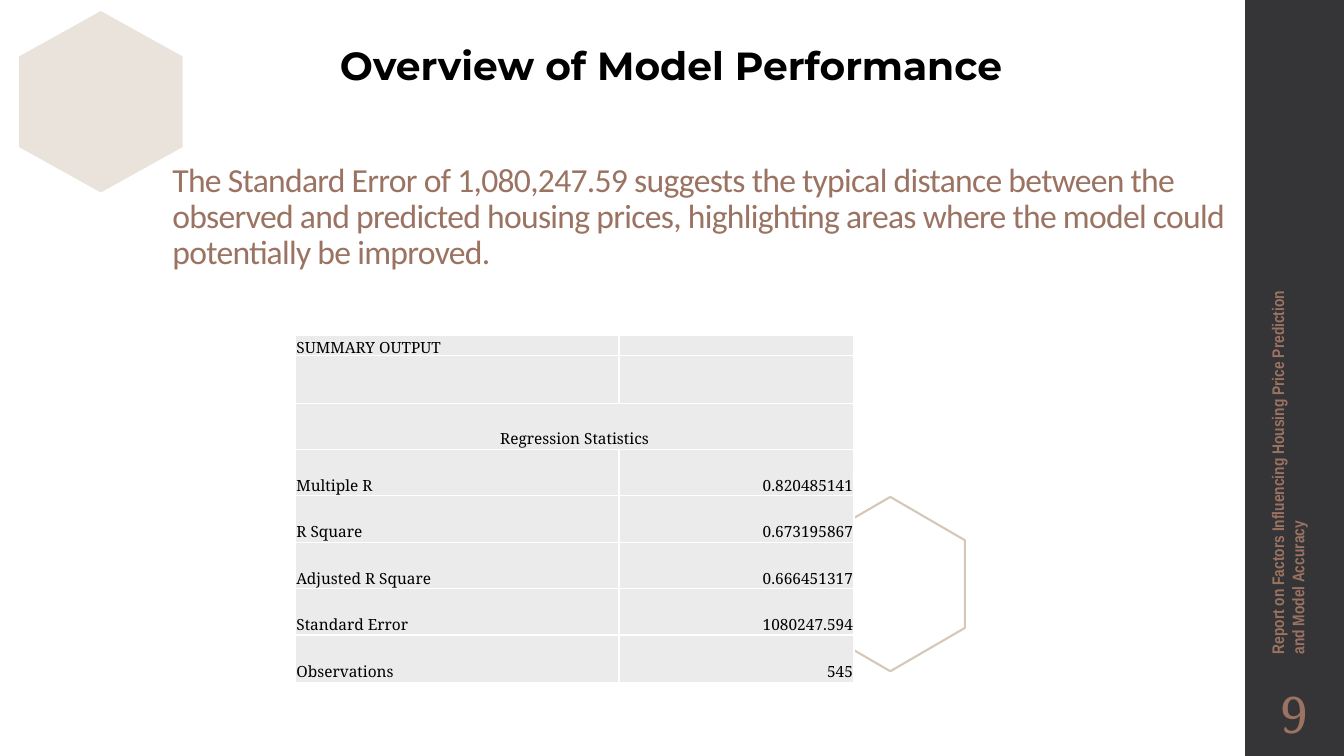
from dataclasses import dataclass

import lxml.etree
import pptx
import pptx.dml.color
import pptx.enum.shapes
import pptx.enum.text
import pptx.oxml.ns
import pptx.util

PX = 9144  # EMU in one px, 100 px to the inch
ALIGN = pptx.enum.text.PP_ALIGN
ANCHOR = pptx.enum.text.MSO_ANCHOR
qn = pptx.oxml.ns.qn


@dataclass(frozen=True)
class Theme:
    sidebar: str = "353537"
    accent: str = "9B7362"
    sand: str = "D5C8B8"
    cell: str = "EBEBEB"
    white: str = "FFFFFF"
    black: str = "000000"
    heading_font: str = "Montserrat"
    body_font: str = "Calibri"
    report_font: str = "Arial Narrow"
    serif_font: str = "Noto Serif"
    heading_size: int = 28
    body_size: int = 24
    report_size: int = 12
    number_size: int = 36
    table_size: int = 11


THEME = Theme()
COLUMNS = [321, 233]
ROW_HEIGHTS = [20, 47] + [46] * 5 + [47]
ROWS = [
    ("SUMMARY OUTPUT", ""),
    ("", ""),
    ("Regression Statistics", ""),
    ("Multiple R", "0.820485141"),
    ("R Square", "0.673195867"),
    ("Adjusted R Square", "0.666451317"),
    ("Standard Error", "1080247.594"),
    ("Observations", "545"),
]
SPANNED_ROW = 2


def px(*lengths):
    return [pptx.util.Emu(n * PX) for n in lengths]


def rgb(color):
    return pptx.dml.color.RGBColor.from_string(color)


def add_run(p, text, font, size, color, bold=False):
    r = p.add_run()
    r.text = text
    r.font.name = font
    r.font.size = pptx.util.Pt(size)
    r.font.color.rgb = rgb(color)
    r.font.bold = bold
    return r


def paint(sp, fill=None, line=None, alpha=None):
    """Give a shape a plain fill (alpha in percent) or outline, without shadow."""
    sp.shadow.inherit = False
    if fill:
        sp.fill.solid()
        sp.fill.fore_color.rgb = rgb(fill)
        if alpha:
            clr = sp.fill._xPr.find(".//" + qn("a:srgbClr"))
            lxml.etree.SubElement(clr, qn("a:alpha")).set("val", str(alpha * 1000))
    else:
        sp.fill.background()
    if line:
        sp.line.color.rgb = rgb(line)
        sp.line.width = pptx.util.Pt(1.5)
    else:
        sp.line.fill.background()


def add_sidebar(s):
    sp = s.shapes.add_shape(pptx.enum.shapes.MSO_SHAPE.RECTANGLE, *px(1235, 0, 98, 750))
    paint(sp, fill=THEME.sidebar)


def add_hexagon(s, x, y, w, h, **style):
    """Add a hexagon that stands on a corner."""
    mid, right = x + w / 2, x + w
    upper, lower = y + h / 4, y + h * 3 / 4
    fb = s.shapes.build_freeform(mid, y, scale=PX)
    fb.add_line_segments([(right, upper), (right, lower), (mid, y + h),
                          (x, lower), (x, upper)], close=True)
    paint(fb.convert_to_shape(), **style)


def add_text(s, box, text, font, size, color, bold=False,
             align=ALIGN.LEFT, anchor=ANCHOR.MIDDLE):
    sp = s.shapes.add_textbox(*px(*box))
    tf = sp.text_frame
    tf.word_wrap = True
    tf.vertical_anchor = anchor
    p = tf.paragraphs[0]
    p.alignment = align
    add_run(p, text, font, size, color, bold)
    return sp


def fill_title(s, box, text):
    sp = s.shapes.title
    sp.left, sp.top, sp.width, sp.height = px(*box)
    tf = sp.text_frame
    tf.word_wrap = True
    tf.auto_size = pptx.enum.text.MSO_AUTO_SIZE.NONE
    tf.vertical_anchor = ANCHOR.TOP
    p = tf.paragraphs[0]
    p.alignment = ALIGN.LEFT
    p.line_spacing = 0.9
    r = add_run(p, text, THEME.body_font, THEME.body_size, THEME.accent)
    r.font._element.set("spc", "-50")


def add_borders(cell):
    tcPr = cell._tc.get_or_add_tcPr()
    for side in ("a:lnL", "a:lnR", "a:lnT", "a:lnB"):
        ln = lxml.etree.SubElement(tcPr, qn(side))
        ln.set("w", str(pptx.util.Pt(1)))
        fill = lxml.etree.SubElement(ln, qn("a:solidFill"))
        lxml.etree.SubElement(fill, qn("a:srgbClr")).set("val", THEME.white)


def fill_cell(cell, text, align):
    add_borders(cell)
    cell.fill.solid()
    cell.fill.fore_color.rgb = rgb(THEME.cell)
    cell.vertical_anchor = ANCHOR.BOTTOM
    cell.margin_left, cell.margin_right, cell.margin_top, cell.margin_bottom = px(1, 1, 1, 0)
    p = cell.text_frame.paragraphs[0]
    p.alignment = align
    if text:
        add_run(p, text, THEME.serif_font, THEME.table_size, THEME.black)
    else:  # keeps an empty cell from stretching its row
        end = lxml.etree.SubElement(p._p, qn("a:endParaRPr"))
        end.set("sz", str(THEME.table_size * 100))


def add_statistics(s, x, y):
    frame = s.shapes.add_table(len(ROWS), len(COLUMNS),
                               *px(x, y, sum(COLUMNS), sum(ROW_HEIGHTS)))
    table = frame.table
    table.first_row = table.horz_banding = False
    for column, width in zip(table.columns, px(*COLUMNS)):
        column.width = width
    for row, height in zip(table.rows, px(*ROW_HEIGHTS)):
        row.height = height
    for i, texts in enumerate(ROWS):
        for j, text in enumerate(texts):
            align = ALIGN.RIGHT if j else ALIGN.LEFT
            fill_cell(table.cell(i, j), text, ALIGN.CENTER if i == SPANNED_ROW else align)
    table.cell(SPANNED_ROW, 0).merge(table.cell(SPANNED_ROW, 1))


def main():
    prs = pptx.Presentation()
    prs.slide_width, prs.slide_height = px(1333, 750)
    s = prs.slides.add_slide(prs.slide_layouts[5])
    add_sidebar(s)
    add_hexagon(s, 809, 493, 148, 173, line=THEME.sand)
    fill_title(s, (161, 157, 1074, 219),
               "The Standard Error of 1,080,247.59 suggests the typical distance between "
               "the observed and predicted housing prices, highlighting areas where the "
               "model could potentially be improved.")
    report = add_text(s, (1081, 443, 392, 40),
                      "Report on Factors Influencing Housing Price Prediction and Model Accuracy",
                      THEME.report_font, THEME.report_size, THEME.accent, bold=True)
    report.rotation = 270
    add_text(s, (1235, 675, 98, 65), "9", THEME.serif_font, THEME.number_size,
             THEME.accent, align=ALIGN.CENTER)
    add_text(s, (293, 36, 745, 88), "Overview of Model Performance", THEME.heading_font,
             THEME.heading_size, THEME.black, bold=True, align=ALIGN.CENTER,
             anchor=ANCHOR.TOP)
    add_statistics(s, 293, 333)
    add_hexagon(s, 19, 11, 162, 180, fill=THEME.sand, alpha=50)
    prs.save("out.pptx")


if __name__ == "__main__":
    main()
